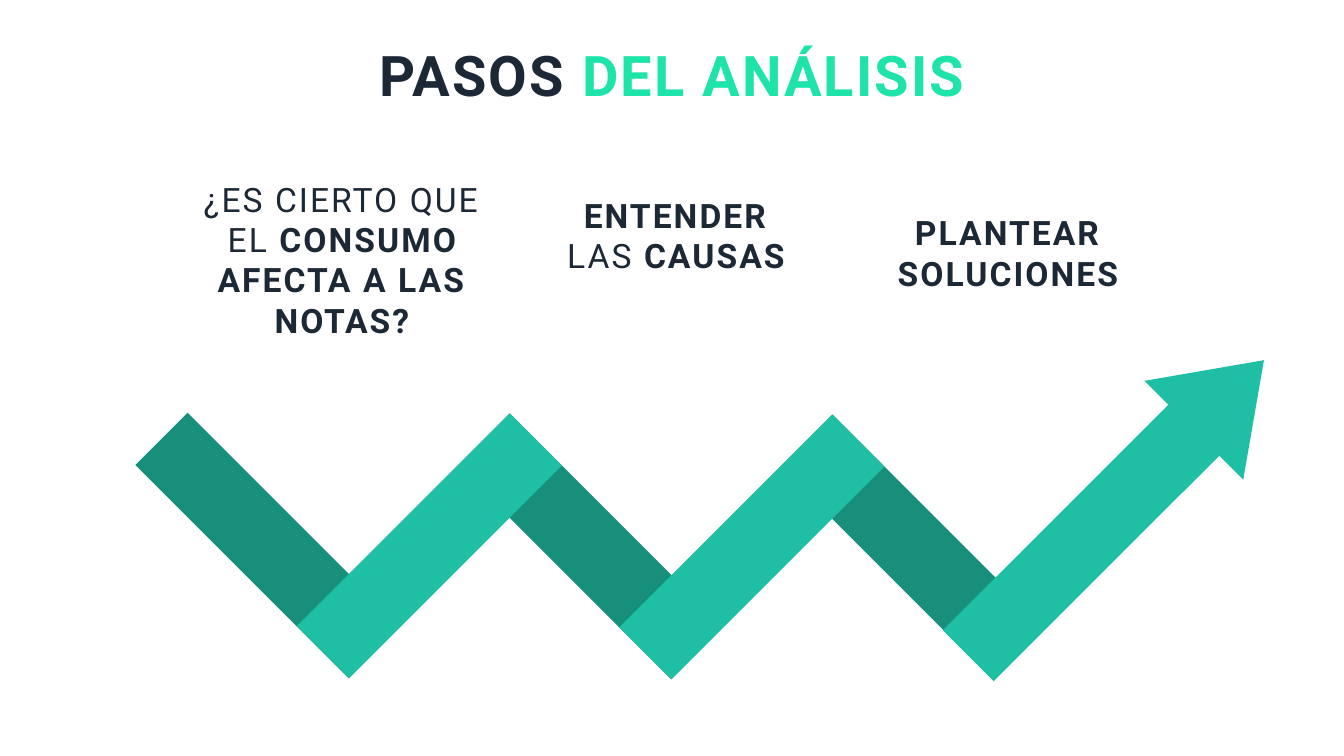
from pptx import Presentation
from pptx.dml.color import RGBColor
from pptx.enum import shapes, text
from pptx.util import Pt

COLORS = {"navy": "1C2835", "mint": "1FE4A9", "dark": "178F7B", "light": "1EBFA4"}


def add_run(paragraph, words, size, bold, color="navy"):
    run = paragraph.add_run()
    run.text = words
    run.font.name = "Roboto"
    run.font.size = Pt(size)
    run.font.bold = bold
    run.font.color.rgb = RGBColor.from_string(COLORS[color])
    run._r.get_or_add_rPr().set("spc", "110")


def add_band(kind, left, top, width, height, rotation, color):
    """Add one flat, rotated piece of the zigzag."""
    shape = slide.shapes.add_shape(kind, Pt(left), Pt(top), Pt(width), Pt(height))
    shape.rotation = rotation
    shape.shadow.inherit = False
    shape.fill.solid()
    shape.fill.fore_color.rgb = RGBColor.from_string(COLORS[color])
    shape.line.fill.background()
    return shape


presentation = Presentation()
presentation.slide_width, presentation.slide_height = Pt(720), Pt(405)
slide = presentation.slides.add_slide(presentation.slide_layouts[5])

# Title
title = slide.shapes.title
title.left, title.top, title.width, title.height = Pt(200), Pt(21.8), Pt(320), Pt(36)
frame = title.text_frame
frame.margin_left = frame.margin_right = frame.margin_top = frame.margin_bottom = 0
frame.word_wrap = False
frame.auto_size = text.MSO_AUTO_SIZE.NONE
frame.vertical_anchor = text.MSO_ANCHOR.MIDDLE
frame.paragraphs[0].alignment = text.PP_ALIGN.CENTER
add_run(frame.paragraphs[0], "PASOS ", 30, True)
add_run(frame.paragraphs[0], "DEL ANÁLISIS", 30, True, "mint")

# Zigzag: each rising band covers the falling bands on both sides
for step in (0, 2, 1, 4, 3):
    rising = step % 2
    add_band(shapes.MSO_SHAPE.RECTANGLE, 62.9 + 86.4 * step, 272.3 + 0.3 * step,
             161.3, 39.6, 135 if rising else 225, "light" if rising else "dark")
arrow = add_band(shapes.MSO_SHAPE.RIGHT_ARROW, 486, 234.7, 223.9, 74.9, 315, "light")
arrow.adjustments[0], arrow.adjustments[1] = 0.515, 0.709

# Steps: box, then paragraphs of (words, bold)
steps = [
    ((91.4, 92.2, 183.6, 94.3),
     [[("¿ES CIERTO QUE EL ", False), ("CONSUMO", True)],
      [("AFECTA A LAS NOTAS?", True)]]),
    ((296.6, 100.8, 131, 72.7),
     [[("ENTENDER ", True), ("LAS ", False), ("CAUSAS", True)]]),
    ((468.7, 110.2, 142.6, 51.1), [[("PLANTEAR SOLUCIONES", True)]]),
]
for box, paragraphs in steps:
    frame = slide.shapes.add_textbox(*map(Pt, box)).text_frame
    frame.word_wrap = True
    for index, runs in enumerate(paragraphs):
        paragraph = frame.add_paragraph() if index else frame.paragraphs[0]
        paragraph.alignment = text.PP_ALIGN.CENTER
        for words, bold in runs:
            add_run(paragraph, words, 18, bold)

presentation.save("out.pptx")
